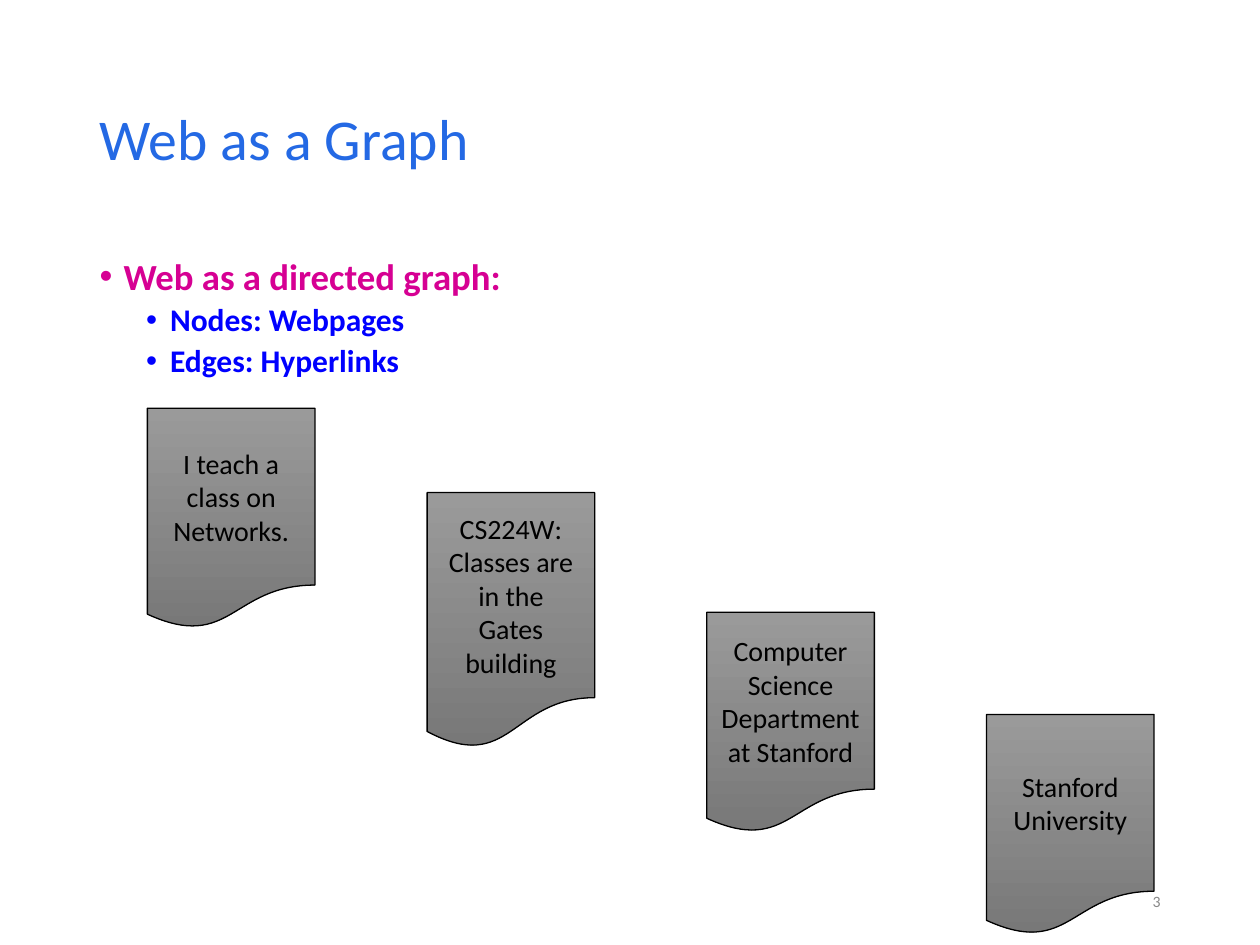
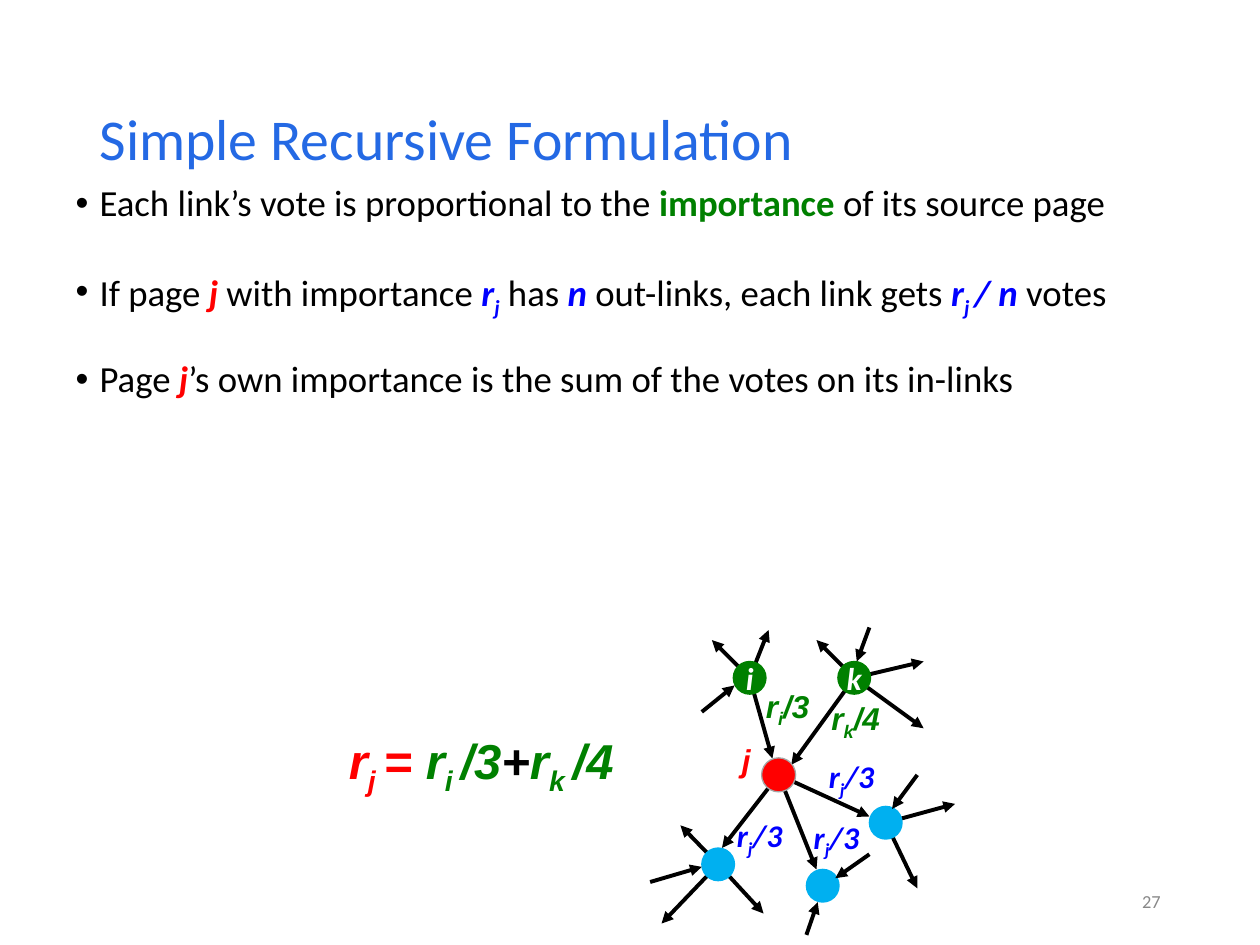
from pptx import Presentation
from pptx.dml.color import RGBColor
from pptx.enum.shapes import MSO_CONNECTOR, MSO_SHAPE
from pptx.enum.text import MSO_ANCHOR, MSO_AUTO_SIZE, PP_ALIGN
from pptx.oxml.ns import qn
from pptx.util import Inches, Pt
from lxml.etree import SubElement

BLACK, RED, GREEN, BLUE = "000000", "FF0000", "008000", "0000FF"
WHITE, SKY, PINK, TITLE, GREY = "FFFFFF", "00B0F0", "D60093", "2469E4", "888888"

WEB_BULLETS = [
    (0, PINK, "Web as a directed graph:"),
    (1, BLUE, "Nodes: Webpages"),
    (1, BLUE, "Edges: Hyperlinks"),
]
PAGES = [
    ("I teach a class on Networks.", 3.24, 1.75),
    ("CS224W: Classes are in the\nGates building", 3.91, 2.03),
    ("Computer Science Department at Stanford", 4.86, 1.75),
    ("Stanford University", 5.67, 1.75),
]
VOTE_BULLETS = [
    [("Each link’s vote is proportional to the ",), ("importance ", GREEN, "b"),
     ("of its source page",)],
    [("If page ",), ("j", RED, "bi"), (" with importance ",), ("r", BLUE, "bi"),
     ("j", BLUE, "bi_"), (" has ",), ("n", BLUE, "bi"),
     (" out-links, each link gets ",), ("r", BLUE, "bi"), ("j ", BLUE, "bi_"),
     ("/ n", BLUE, "bi"), (" votes",)],
    [("Page ",), ("j", RED, "bi"),
     ("’s own importance is the sum of the votes on its in-links",)],
]
FORMULA = [
    ("r", RED, "bi"), ("j ", RED, "bi_"), ("= ", RED, "bi"),
    ("r", GREEN, "bi"), ("i ", GREEN, "bi_"), ("/3", GREEN, "bi"),
    ("+", BLACK, "bi"),
    ("r", GREEN, "bi"), ("k ", GREEN, "bi_"), ("/4", GREEN, "bi"),
]
NODES = [
    {"at": (6.18, 6.15), "fill": RED, "line": "A5A5A5",
     "out": [(5.73, 6.73), (6.9, 6.48), (6.48, 6.9)]},
    {"at": (5.95, 5.38), "fill": GREEN, "label": "i",
     "out": [(6.13, 6.02), (6.1, 5), (5.65, 5.08)],
     "in": [((5.57, 5.65), (5.83, 5.44))]},
    {"at": (6.78, 5.38), "fill": GREEN, "label": "k",
     "out": [(6.28, 6.07), (7.33, 5.78), (7.33, 5.25), (6.48, 5.08)],
     "in": [((6.9, 4.98), (6.8, 5.25))]},
    {"at": (5.7, 6.86), "fill": SKY,
     "out": [(5.25, 7.33), (6.06, 7.25), (5.4, 6.55)],
     "in": [((5.16, 7), (5.57, 6.88))]},
    {"at": (7.03, 6.53), "fill": SKY, "out": [(7.28, 7.05), (7.58, 6.38)],
     "in": [((7.28, 6.15), (7.08, 6.42))]},
    {"at": (6.53, 7.03), "fill": SKY, "out": [],
     "in": [((6.9, 6.78), (6.63, 6.97)), ((6.4, 7.42), (6.49, 7.16))]},
]
VOTES = [
    ("j", "/3", 6.48, 5.96, BLUE, "Calibri"),
    ("j", "/3", 6.36, 6.44, BLUE, "Calibri"),
    ("j", "/3", 5.75, 6.43, BLUE, "Calibri"),
    ("i", "/3", 5.98, 5.4, GREEN, "Arial"),
    ("k", "/4", 6.5, 5.5, GREEN, "Arial"),
]
DIAMETER = 0.27


def rgb(color):
    """Turn a hex string into a colour."""
    return RGBColor.from_string(color)


def write(p, runs, size=18, color=BLACK, font="Calibri", flags="", align=PP_ALIGN.LEFT):
    """Fill a paragraph with (text, colour, flags) runs; b bold, i italic, _ subscript."""
    p.alignment = align
    for text, *style in [(runs,)] if isinstance(runs, str) else runs:
        run_color, run_flags = style or (color, flags)
        for n, line in enumerate(text.split("\n")):
            if n:
                p.add_line_break()
            r = p.add_run()
            r.text = line
            f = r.font
            f.name, f.size = font, Pt(size)
            f.bold, f.italic = "b" in run_flags, "i" in run_flags
            f.color.rgb = rgb(run_color)
            if "_" in run_flags:
                r._r.get_or_add_rPr().set("baseline", "-25000")


def place(shape, x, y, w, h):
    """Move and size a shape in inches."""
    shape.left, shape.top, shape.width, shape.height = map(Inches, (x, y, w, h))


def bullet(p, color, indent, before):
    """Give a paragraph a coloured bullet, hanging indent and spacing."""
    pPr = p._p.get_or_add_pPr()
    pPr.set("marL", str(Inches(indent)))
    pPr.set("indent", str(Inches(-0.19)))
    SubElement(SubElement(pPr, qn("a:buClr")), qn("a:srgbClr")).set("val", color)
    SubElement(pPr, qn("a:buFont")).set("typeface", "Arial")
    SubElement(pPr, qn("a:buChar")).set("char", "•")
    p.line_spacing, p.space_before, p.space_after = 0.9, Pt(before), Pt(0)


def textbox(s, box, runs, anchor=MSO_ANCHOR.TOP, **fmt):
    """Add a wrapped text box with one paragraph."""
    tf = s.shapes.add_textbox(*map(Inches, box)).text_frame
    tf.word_wrap, tf.vertical_anchor = True, anchor
    write(tf.paragraphs[0], runs, **fmt)


def base_slide(prs, title, number, number_size, body_box):
    """Add a slide with title and number; return it and its body frame."""
    s = prs.slides.add_slide(prs.slide_layouts[1])
    place(s.shapes.title, 0.69, 0.4, 8.62, 1.45)
    tf = s.shapes.title.text_frame
    tf.vertical_anchor = MSO_ANCHOR.MIDDLE
    tf.paragraphs[0].line_spacing = 0.9
    write(tf.paragraphs[0], title, size=33, color=TITLE)
    body = s.placeholders[1]
    place(body, *body_box)
    body.text_frame.auto_size = MSO_AUTO_SIZE.NONE
    textbox(s, (7.06, 6.95, 2.25, 0.4), number, anchor=MSO_ANCHOR.MIDDLE,
            size=number_size, color=GREY, align=PP_ALIGN.RIGHT)
    return s, body.text_frame


def next_paragraph(tf, n):
    """Return the first paragraph or a new one."""
    return tf.add_paragraph() if n else tf.paragraphs[0]


def arrow(s, start, tip):
    """Draw a black arrow from start to tip."""
    c = s.shapes.add_connector(MSO_CONNECTOR.STRAIGHT, *map(Inches, (*start, *tip)))
    c.line.color.rgb, c.line.width = rgb(BLACK), Pt(2.25)
    SubElement(c.line._get_or_add_ln(), qn("a:tailEnd")).set("type", "triangle")
    SubElement(c._element.spPr, qn("a:effectLst"))


def page(s, text, x, y, h):
    """Draw a web page as a grey document shape."""
    sp = s.shapes.add_shape(MSO_SHAPE.FLOWCHART_DOCUMENT,
                            *map(Inches, (x, y, 1.33, h)))
    sp.shadow.inherit = False
    sp.fill.gradient()
    sp.fill.gradient_angle = 270
    for stop, color in zip(sp.fill.gradient_stops, ("9A9A9A", "787878")):
        stop.color.rgb = rgb(color)
    sp.line.color.rgb, sp.line.width = rgb(BLACK), Pt(0.75)
    sp.text_frame.vertical_anchor = MSO_ANCHOR.MIDDLE
    write(sp.text_frame.paragraphs[0], text, size=16, align=PP_ALIGN.CENTER)


def node(s, at, fill, label="", line=None):
    """Draw a graph node centred on a point."""
    x, y = (v - DIAMETER / 2 for v in at)
    sp = s.shapes.add_shape(MSO_SHAPE.OVAL, *map(Inches, (x, y, DIAMETER, DIAMETER)))
    sp.shadow.inherit = False
    sp.fill.solid()
    sp.fill.fore_color.rgb = rgb(fill)
    if line:
        sp.line.color.rgb, sp.line.width = rgb(line), Pt(0.75)
    else:
        sp.line.fill.background()
    if label:
        tf = sp.text_frame
        tf.margin_left = tf.margin_right = 0
        tf.vertical_anchor = MSO_ANCHOR.MIDDLE
        write(tf.paragraphs[0], label, color=WHITE, flags="bi", align=PP_ALIGN.CENTER)


def web_slide(prs):
    """Build the slide on the web as a graph."""
    s, tf = base_slide(prs, "Web as a Graph", "3", 9, (0.69, 2, 8.62, 4.76))
    for n, (level, color, text) in enumerate(WEB_BULLETS):
        p = next_paragraph(tf, n)
        p.level = level
        bullet(p, color, 0.56 if level else 0.19, 3.8 if n else 0)
        write(p, text, size=18 if level else 21, color=color, flags="b")
    for n, (text, y, h) in enumerate(PAGES):
        page(s, text, 1.17 + 2.22 * n, y, h)


def formula_slide(prs):
    """Build the slide on the recursive vote formula."""
    s, tf = base_slide(prs, "Simple Recursive Formulation", "27", 10.5,
                       (0.5, 1.42, 9, 4.17))
    for n, runs in enumerate(VOTE_BULLETS):
        p = next_paragraph(tf, n)
        bullet(p, BLACK, 0.19, 26 if n else 0)
        write(p, runs, size=21)
    for d in NODES:
        for tip in d["out"]:
            arrow(s, d["at"], tip)
    for d in NODES:
        node(s, d["at"], d["fill"], d.get("label", ""), d.get("line"))
        for start, tip in d.get("in", []):
            arrow(s, start, tip)
    textbox(s, (5.79, 5.83, 0.35, 0.4), "j", color=RED, font="Arial", flags="bi")
    for sub, share, x, y, color, font in VOTES:
        runs = [("r", color, "bi"), (sub, color, "bi_"), (share, color, "bi")]
        textbox(s, (x, y, 0.73, 0.4), runs, font=font)
    textbox(s, (2.67, 5.75, 2.5, 0.57), FORMULA, size=28, font="Arial")


def main():
    """Build and save the slides."""
    prs = Presentation()
    prs.slide_width, prs.slide_height = Inches(10), Inches(7.5)
    web_slide(prs)
    formula_slide(prs)
    prs.save("out.pptx")


if __name__ == "__main__":
    main()
